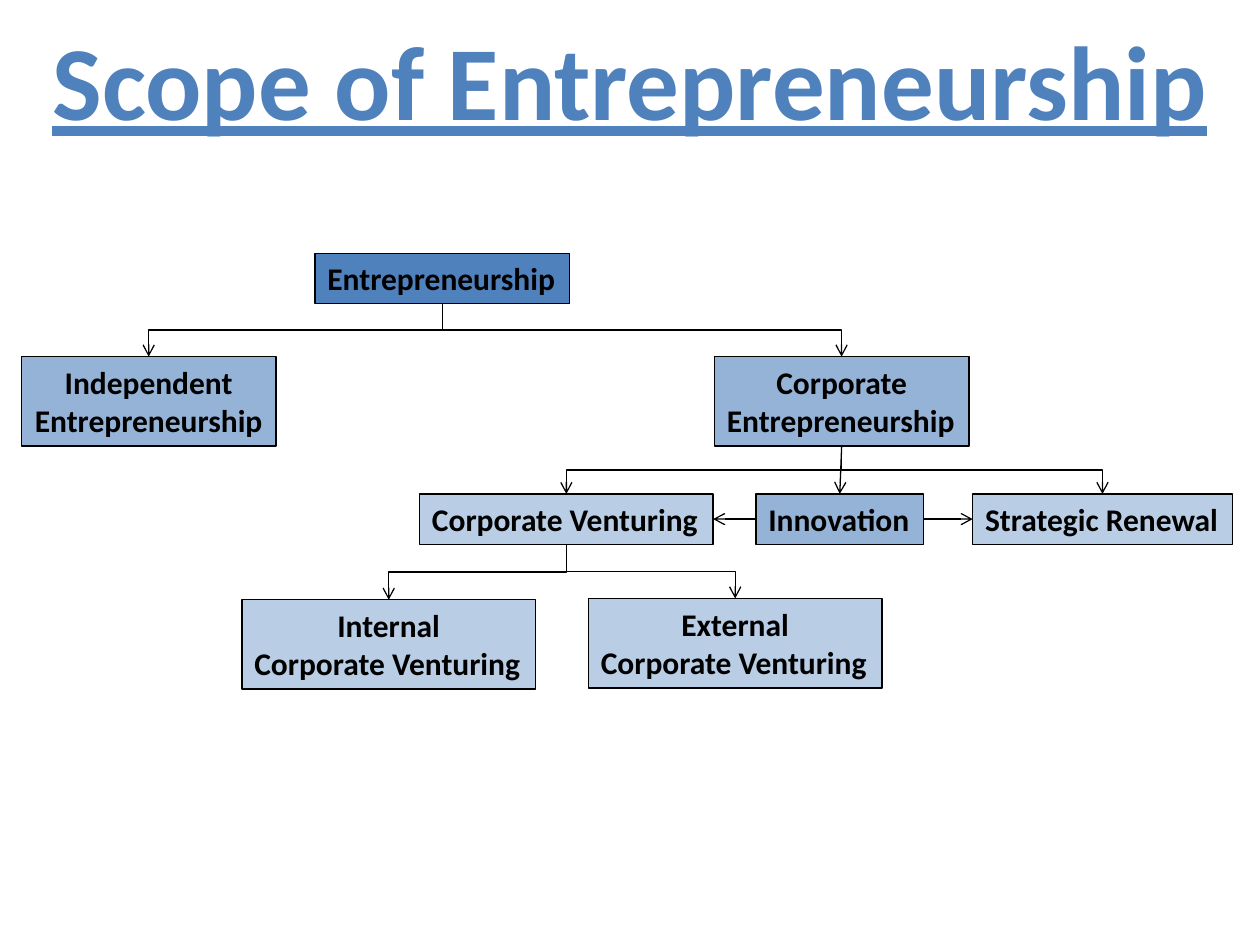
from pptx import Presentation
from pptx.dml.color import RGBColor
from pptx.enum.shapes import MSO_CONNECTOR as CONN, MSO_SHAPE as SHAPE
from pptx.enum.text import MSO_ANCHOR as ANCHOR, MSO_AUTO_SIZE as FIT, PP_ALIGN as ALIGN
from pptx.oxml.ns import qn
from pptx.util import Inches, Pt
from lxml.etree import SubElement

TITLE = "Scope of Entrepreneurship"
FONT, BLACK = "Calibri", "000000"
DARK, MID, LIGHT = "4F81BD", "95B3D7", "B9CDE5"
LINE_HEIGHTS = {1: 0.4, 2: 0.71}
C, L = ALIGN.CENTER, ALIGN.LEFT
TOP, LEFT, BOTTOM, RIGHT = range(4)

BOXES = {
    "root": (2.5, 2.01, 2.02, DARK, False, [("Entrepreneurship", L)]),
    "independent": (0.17, 2.83, 2.02, MID, False, [("Independent", C), ("Entrepreneurship", C)]),
    "corporate": (5.67, 2.83, 2.02, MID, False, [("Corporate", C), ("Entrepreneurship", L)]),
    "venturing": (3.33, 3.92, 2.33, LIGHT, True, [("Corporate Venturing", L)]),
    "renewal": (7.72, 3.92, 2.06, LIGHT, False, [("Strategic Renewal", L)]),
    "innovation": (6, 3.92, 1.33, MID, True, [("Innovation", L)]),
    "internal": (1.92, 4.76, 2.33, LIGHT, True, [("Internal", C), ("Corporate Venturing", L)]),
    "external": (4.67, 4.75, 2.33, LIGHT, True, [("External", C), ("Corporate Venturing", L)]),
}
BRANCHES = {
    "root": ["independent", "corporate"],
    "corporate": ["venturing", "renewal"],
    "venturing": ["internal", "external"],
}
STRAIGHTS = [
    ("corporate", BOTTOM, "innovation", TOP),
    ("innovation", LEFT, "venturing", RIGHT),
    ("innovation", RIGHT, "renewal", LEFT),
]


def rgb(value):
    return RGBColor.from_string(value)


def style_font(font, size, color):
    font.name, font.size, font.bold = FONT, Pt(size), True
    font.color.rgb = rgb(color)


def add_box(s, left, top, width, fill, wrap, lines):
    sp = s.shapes.add_shape(SHAPE.RECTANGLE, Inches(left), Inches(top),
                            Inches(width), Inches(LINE_HEIGHTS[len(lines)]))
    sp.shadow.inherit = False
    sp.fill.solid()
    sp.fill.fore_color.rgb = rgb(fill)
    sp.line.color.rgb = rgb(BLACK)
    sp.line.width = Pt(0.75)
    tf = sp.text_frame
    tf.word_wrap, tf.auto_size = wrap, FIT.SHAPE_TO_FIT_TEXT
    tf.vertical_anchor = ANCHOR.TOP
    for i, (text, align) in enumerate(lines):
        p = tf.add_paragraph() if i else tf.paragraphs[0]
        p.text, p.alignment = text, align
        style_font(p.font, 18, BLACK)
    return sp


def add_arrow(s, kind, start, start_site, end, end_site):
    c = s.shapes.add_connector(kind, 0, 0, 0, 0)
    c.begin_connect(start, start_site)
    c.end_connect(end, end_site)
    c.line.color.rgb = rgb(BLACK)
    c.line.width = Pt(0.75)
    SubElement(c.line._get_or_add_ln(), qn("a:tailEnd"), type="arrow")
    SubElement(c._element.spPr, qn("a:effectLst"))
    return c


def add_branch(s, parent, child):
    c = add_arrow(s, CONN.ELBOW, parent, BOTTOM, child, TOP)
    x1, y1, x2, y2 = c.begin_x, c.begin_y, c.end_x, c.end_y
    run, drop = abs(x2 - x1), y2 - y1
    c.left, c.top = (x1 + x2 - drop) // 2, (y1 + y2 - run) // 2
    c.width, c.height = drop, run
    xfrm = c._element.spPr.find(qn("a:xfrm"))
    for flip in ("flipH", "flipV"):
        xfrm.attrib.pop(flip, None)
    xfrm.set("rot", str((90 if x2 < x1 else 270) * 60000))
    if x2 > x1:
        xfrm.set("flipH", "1")


prs = Presentation()
prs.slide_width, prs.slide_height = Inches(10), Inches(7.5)
s = prs.slides.add_slide(prs.slide_layouts[5])

title = s.shapes.title
title.left, title.top = 0, 0
title.width, title.height = prs.slide_width, Inches(1.25)
title.text_frame.vertical_anchor = ANCHOR.MIDDLE
p = title.text_frame.paragraphs[0]
p.text, p.alignment = TITLE, C
style_font(p.font, 60, DARK)
p.font.underline = True

boxes = {name: add_box(s, *spec_row) for name, spec_row in BOXES.items()}
for parent, children in BRANCHES.items():
    for child in children:
        add_branch(s, boxes[parent], boxes[child])
for start, start_site, end, end_site in STRAIGHTS:
    add_arrow(s, CONN.STRAIGHT, boxes[start], start_site, boxes[end], end_site)

prs.save("out.pptx")
